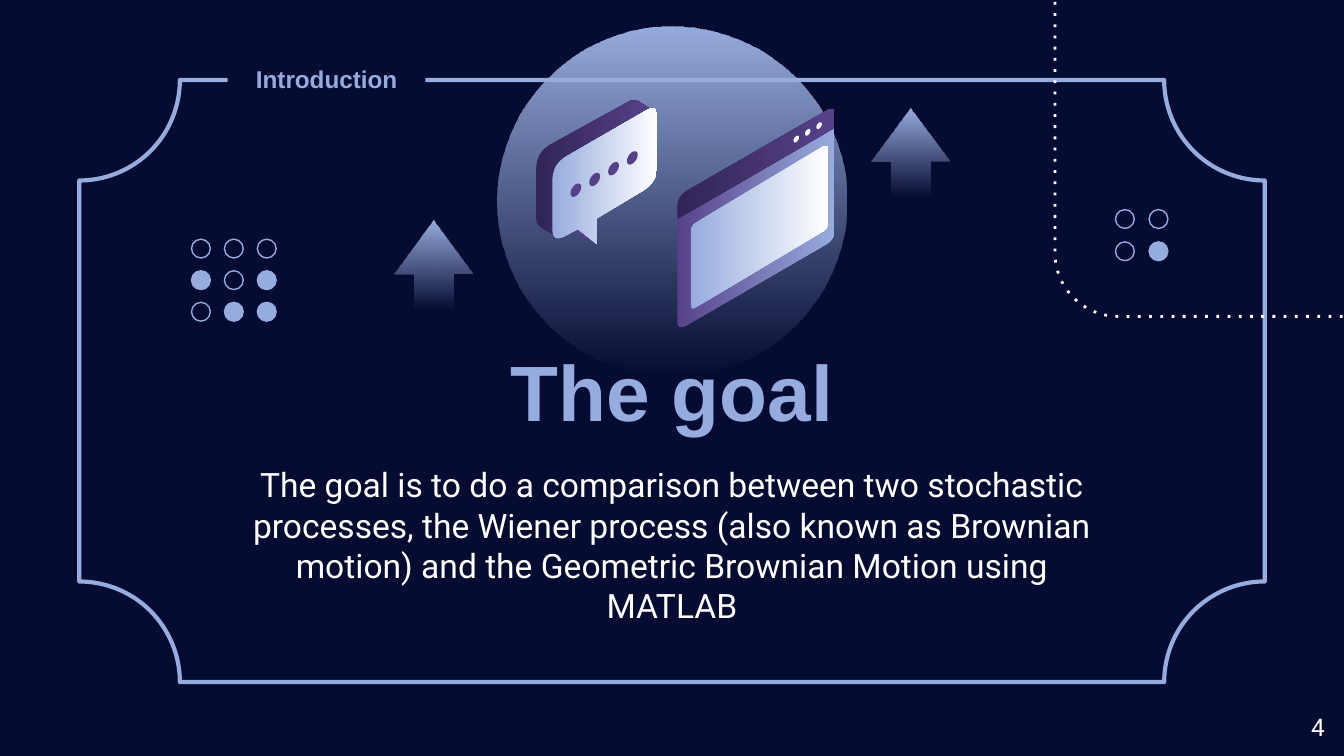
from dataclasses import dataclass
from math import cos, hypot, pi, sin

from pptx import Presentation
from pptx.dml.color import RGBColor
from pptx.enum.dml import MSO_LINE
from pptx.enum.shapes import MSO_SHAPE
from pptx.enum.text import MSO_ANCHOR, PP_ALIGN
from pptx.oxml.ns import qn
from pptx.util import Pt

PX = 4572


@dataclass(frozen=True)
class Theme:
    night: str = "050B31"
    sky: str = "97ACDE"
    violet: str = "57428A"
    plum: str = "322457"
    white: str = "FFFFFF"
    heading: str = "Arial"
    body: str = "Roboto"
    title_size: int = 42
    body_size: int = 18
    label_size: int = 13


@dataclass(frozen=True)
class Box:
    left: float
    top: float
    width: float
    height: float

    def inner(self, x, y, width, height):
        return Box(self.left + x, self.top + y, width, height)

    def emu(self):
        return [round(n * PX) for n in (self.left, self.top, self.width, self.height)]


THEME = Theme()


def paint(shape, fill=None, line=None, weight=0.75, angle=0, fade=False):
    shape.shadow.inherit = False
    if isinstance(fill, tuple):
        shape.fill.gradient()
        shape.fill.gradient_angle = angle
        for stop, color in zip(shape.fill.gradient_stops, fill):
            stop.color.rgb = RGBColor.from_string(color)
        if fade:
            last = shape._element.xpath(".//a:gradFill//a:srgbClr")[-1]
            last.append(last.makeelement(qn("a:alpha"), {"val": "0"}))
    elif fill:
        shape.fill.solid()
        shape.fill.fore_color.rgb = RGBColor.from_string(fill)
    else:
        shape.fill.background()
    if line:
        shape.line.color.rgb = RGBColor.from_string(line)
        shape.line.width = Pt(weight)
    else:
        shape.line.fill.background()
    return shape


def add_preset(page, kind, box, adjustments=(), **style):
    shape = page.shapes.add_shape(kind, *box.emu())
    for index, value in enumerate(adjustments):
        shape.adjustments[index] = value
    return paint(shape, **style)


def add_fading(page, kind, box, adjustments=()):
    return add_preset(page, kind, box, adjustments, fill=(THEME.sky, THEME.sky), angle=270, fade=True)


def write(shape, text, size, font, color, align=PP_ALIGN.CENTER, anchor=MSO_ANCHOR.MIDDLE, bold=False):
    frame = shape.text_frame
    frame.word_wrap = True
    frame.vertical_anchor = anchor
    frame.margin_left = frame.margin_right = frame.margin_top = frame.margin_bottom = 20 * PX
    frame.text = text
    para = frame.paragraphs[0]
    para.alignment = align
    span = para.runs[0]
    span.font.size = Pt(size)
    span.font.name = font
    span.font.bold = bold
    span.font.color.rgb = RGBColor.from_string(color)


def add_text(page, box, *content, **style):
    write(page.shapes.add_textbox(*box.emu()), *content, **style)


def add_outline(page, box, points, **style):
    placed = [((box.left + x) * PX, (box.top + y) * PX) for x, y in points]
    builder = page.shapes.build_freeform(*placed[0], scale=1.0)
    builder.add_line_segments(placed[1:], close=True)
    return paint(builder.convert_to_shape(), **style)


def toward(start, end, distance):
    share = distance / hypot(end[0] - start[0], end[1] - start[1])
    return tuple(a + (b - a) * share for a, b in zip(start, end))


def rounded(corners, steps=8):
    points = []
    for index, (x, y, radius) in enumerate(corners):
        if not radius:
            points.append((x, y))
            continue
        before, after = corners[index - 1], corners[(index + 1) % len(corners)]
        start = toward((x, y), before[:2], radius)
        end = toward((x, y), after[:2], radius)
        for step in range(steps + 1):
            t = step / steps
            points.append(tuple(
                (1 - t) ** 2 * a + 2 * t * (1 - t) * b + t * t * c
                for a, b, c in zip(start, (x, y), end)))
    return points


def add_tilted_dots(page, box, first, step, count, radius, color):
    turns = [2 * pi * n / 24 for n in range(24)]
    for index in range(count):
        x, y = (a + index * b for a, b in zip(first, step))
        points = [(x + radius * cos(t), y + radius * (1.1 * sin(t) - 0.58 * cos(t))) for t in turns]
        add_outline(page, box, points, fill=color)


def add_window(page, box):
    top_left, top_right = (0, 130, 16), (234, -4, 12)
    frame = [top_left, top_right, (234, 194, 14), (0, 330, 14)]
    bar = [top_left, top_right, (234, 28, 0), (0, 164, 0)]
    screen = [(20, 174, 8), (204, 52, 8), (204, 178, 8), (20, 300, 8)]
    screen[1:3] = [(224, 52, 8), (224, 178, 8)]
    add_outline(page, box, rounded(frame), fill=(THEME.violet, THEME.sky))
    add_outline(page, box, rounded(bar), fill=(THEME.plum, THEME.violet))
    add_tilted_dots(page, box, (177, 45), (17, -10), 3, 4, THEME.white)
    add_outline(page, box, rounded(screen), fill=(THEME.sky, THEME.white))


def add_bubble(page, box):
    tail = [(38, 176), (64, 200), (90, 214), (62, 192)]
    side = [(146, -2, 6), (0, 78, 24), (0, 186, 10), (30, 202, 0),
            (24, 192, 0), (24, 96, 24), (164, 14, 6), (174, 16, 0)]
    front = [(24, 96, 24), (180, 6, 18), (180, 122, 24), (90, 176, 0),
             (90, 214, 0), (62, 192, 0), (24, 212, 20)]
    add_outline(page, box, tail, fill=THEME.violet)
    add_outline(page, box, rounded(side), fill=(THEME.plum, THEME.violet))
    add_outline(page, box, rounded(front), fill=(THEME.sky, THEME.white))
    add_tilted_dots(page, box, (59, 134), (28, -16), 4, 8, THEME.violet)


def add_circle_grid(page, box, rows, size=28):
    across = (box.width - size) / (len(rows[0]) - 1)
    down = (box.height - size) / (len(rows) - 1)
    for row, marks in enumerate(rows):
        for column, filled in enumerate(marks):
            spot = box.inner(column * across, row * down, size, size)
            add_preset(page, MSO_SHAPE.OVAL, spot, fill=THEME.sky if filled else None, line=THEME.sky)


def add_statement(page, box):
    add_text(page, box.inner(0, 0, box.width, 182), "The goal", THEME.title_size,
             THEME.heading, THEME.sky, anchor=MSO_ANCHOR.BOTTOM, bold=True)
    add_text(page, box.inner(0, 182, box.width, 282),
             "The goal is to do a comparison between two stochastic processes, the Wiener process "
             "(also known as Brownian motion) and the Geometric Brownian Motion using MATLAB",
             THEME.body_size, THEME.body, THEME.white, anchor=MSO_ANCHOR.TOP)


def add_goal_page(page, box):
    page.background.fill.solid()
    page.background.fill.fore_color.rgb = RGBColor.from_string(THEME.night)
    add_preset(page, MSO_SHAPE.PLAQUE, box.inner(118, 119, 1764, 896), [0.167], line=THEME.sky, weight=2.25)
    add_fading(page, MSO_SHAPE.OVAL, box.inner(740, 39, 520, 520))
    add_statement(page, box.inner(339, 489, 1322, 464))
    label = add_preset(page, MSO_SHAPE.RECTANGLE, box.inner(339, 73, 294, 88), fill=THEME.night)
    write(label, "Introduction", THEME.label_size, THEME.heading, THEME.sky, bold=True)
    add_window(page, box.inner(1008, 162, 234, 326))
    add_bubble(page, box.inner(798, 149, 180, 214))
    for x, y in ((1297, 161), (587, 328)):
        add_fading(page, MSO_SHAPE.UP_ARROW, box.inner(x, y, 116, 132), [0.5, 0.68])
    dotted = add_preset(page, MSO_SHAPE.ROUNDED_RECTANGLE, box.inner(1570, -121, 566, 592), [0.167],
                        line=THEME.white, weight=1.5)
    dotted.line.dash_style = MSO_LINE.ROUND_DOT
    dotted._element.xpath(".//a:prstDash")[0].set("val", "dot")
    add_circle_grid(page, box.inner(285, 356, 126, 122), [(0, 0, 0), (1, 0, 1), (0, 1, 1)])
    add_circle_grid(page, box.inner(1660, 312, 78, 76), [(0, 0), (0, 1)])
    add_text(page, box.inner(1871, 1038, 120, 86), "4", THEME.label_size, THEME.body, THEME.white,
             align=PP_ALIGN.RIGHT)


def main():
    deck = Presentation()
    canvas = Box(0, 0, 2000, 1125)
    deck.slide_width, deck.slide_height = canvas.emu()[2:]
    page = deck.slides.add_slide(deck.slide_layouts[6])
    add_goal_page(page, canvas)
    deck.save("out.pptx")


if __name__ == "__main__":
    main()
